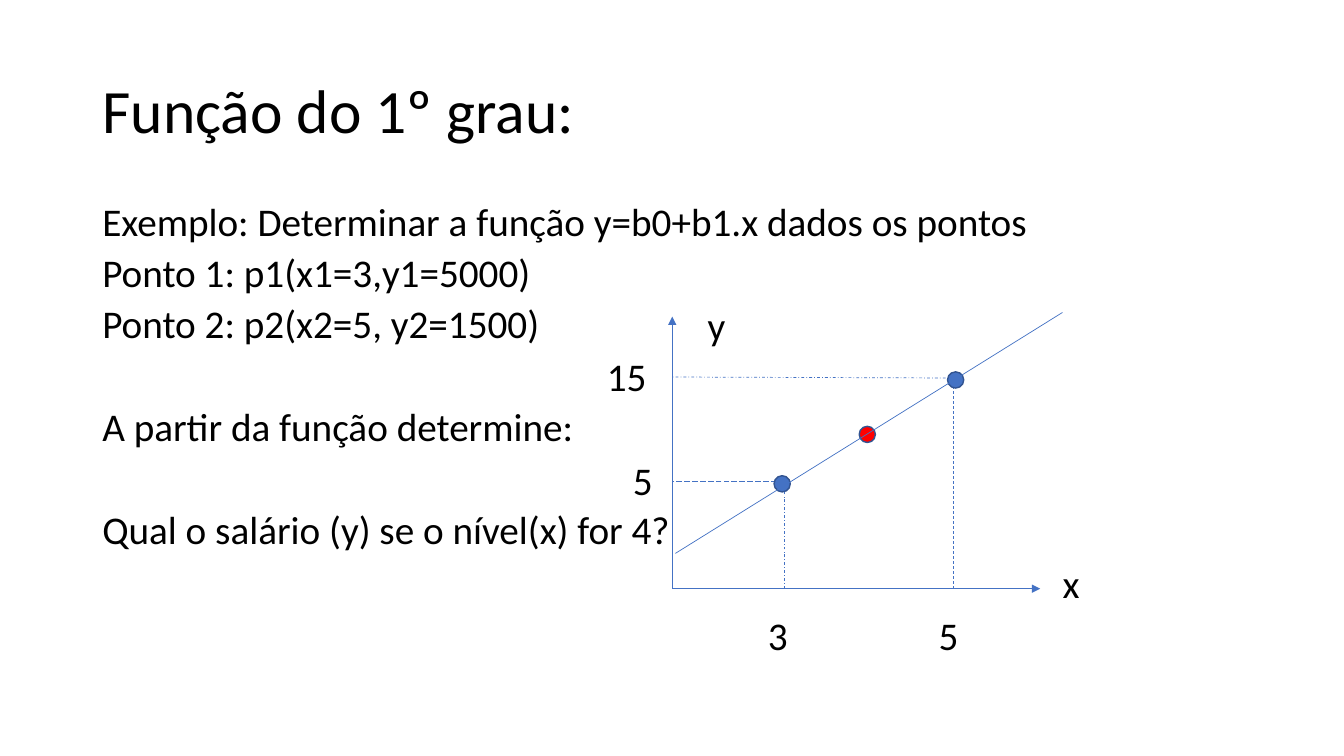
from lxml import etree
from pptx import Presentation
from pptx.dml.color import RGBColor
from pptx.enum.dml import MSO_LINE
from pptx.enum.shapes import MSO_CONNECTOR, MSO_SHAPE
from pptx.enum.text import MSO_ANCHOR, PP_ALIGN
from pptx.oxml.ns import qn
from pptx.util import Pt

STRAIGHT, OVAL = MSO_CONNECTOR.STRAIGHT, MSO_SHAPE.OVAL
LEFT, TOP, MIDDLE = PP_ALIGN.LEFT, MSO_ANCHOR.TOP, MSO_ANCHOR.MIDDLE
DASH, DASH_DOT, LONG_DASH = MSO_LINE.DASH, MSO_LINE.DASH_DOT, MSO_LINE.LONG_DASH

BLACK = RGBColor(0x00, 0x00, 0x00)
BLUE = RGBColor(0x44, 0x72, 0xC4)
DARK_BLUE = RGBColor(0x32, 0x54, 0x91)
RED = RGBColor(0xFF, 0x00, 0x00)

BODY_SIZE = 28
GAP = 9.6          # space before each body line
ROW_PITCH = 36.94  # distance from one body line to the next
BODY_TOP = 144
INSET = 3.6


def write(para, text, size, spacing, before=0):
    """Put one formatted run into a paragraph."""
    para.alignment = LEFT
    para.line_spacing = spacing
    para.space_before = Pt(before)
    span = para.add_run()
    span.text = text
    span.font.size = Pt(size)
    span.font.name = "Calibri"
    span.font.color.rgb = BLACK


def draw_line(start, end, dash=None, arrow=False):
    """Draw a thin blue line, optionally dashed or with an arrowhead at its end."""
    line = page.shapes.add_connector(STRAIGHT, *map(Pt, start + end))
    line.line.color.rgb = BLUE
    line.line.width = Pt(0.5)
    if dash:
        line.line.dash_style = dash
    properties = line._element.spPr
    if arrow:
        etree.SubElement(properties.find(qn("a:ln")), qn("a:tailEnd"), type="triangle")
    etree.SubElement(properties, qn("a:effectLst"))


deck = Presentation()
deck.slide_width, deck.slide_height = Pt(960), Pt(540)
page = deck.slides.add_slide(deck.slide_layouts[5])

# Title
title = page.shapes.title
title.left, title.top, title.width, title.height = Pt(66), Pt(28.75), Pt(828), Pt(104.4)
title.text_frame.vertical_anchor = MIDDLE
write(title.text_frame.paragraphs[0], "Função do 1º grau:", 44, 0.9)

# Exercise text: (line, rows left free above it)
exercise = [
    ("Exemplo: Determinar a função y=b0+b1.x dados os pontos", 0),
    ("Ponto 1: p1(x1=3,y1=5000)", 0),
    ("Ponto 2: p2(x2=5, y2=1500)", 0),
    ("A partir da função determine:", 1),
    ("Qual o salário (y) se o nível(x) for 4?", 1),
]
body = page.shapes.add_textbox(Pt(66), Pt(BODY_TOP), Pt(828), Pt(342.6))
frame = body.text_frame
frame.word_wrap = True
frame.vertical_anchor = TOP
for index, (text, free_rows) in enumerate(exercise):
    para = frame.add_paragraph() if index else frame.paragraphs[0]
    write(para, text, BODY_SIZE, 0.8, GAP + free_rows * ROW_PITCH)

# Graph labels sit on the rows of the exercise text: (label, left, row)
labels = [("y", 505.5, 2), ("15", 433.5, 3), ("5", 452, 5),
          ("x", 759, 7), ("3", 548.5, 8), ("5", 670.5, 8)]
for text, left, row in labels:
    box = page.shapes.add_textbox(
        Pt(left), Pt(BODY_TOP + INSET + row * ROW_PITCH), Pt(36), Pt(28))
    frame = box.text_frame
    frame.word_wrap = True
    frame.margin_left = frame.margin_right = frame.margin_top = frame.margin_bottom = 0
    write(frame.paragraphs[0], text, BODY_SIZE, 0.8, GAP)

# Axes and guides
origin_x, origin_y = 480.2, 420.5
x1, y1 = 560.2, 344.2
x2, y2 = 681.1, 270
draw_line((origin_x, origin_y), (origin_x, 226.1), arrow=True)
draw_line((origin_x, origin_y), (743, origin_y), arrow=True)
draw_line((x1, origin_y), (x1, y1), DASH_DOT)
draw_line((x2, origin_y), (x2, y2), DASH)
draw_line((x1, y1), (origin_x, y1), LONG_DASH)
draw_line((x2, y2), (origin_x, 269.3), DASH_DOT)

# Points, then the function line over them: (centre x, centre y, fill)
for centre_x, centre_y, fill in [(558.7, 345.6, BLUE), (682.6, 271.4, BLUE),
                                 (619.5, 310.3, RED)]:
    dot = page.shapes.add_shape(OVAL, Pt(centre_x - 5.8), Pt(centre_y - 5.8),
                                Pt(11.6), Pt(11.6))
    dot.shadow.inherit = False
    dot.fill.solid()
    dot.fill.fore_color.rgb = fill
    dot.line.color.rgb = DARK_BLUE
    dot.line.width = Pt(1)
draw_line((482.4, 395.3), (758.9, 223.2))

deck.save("out.pptx")
